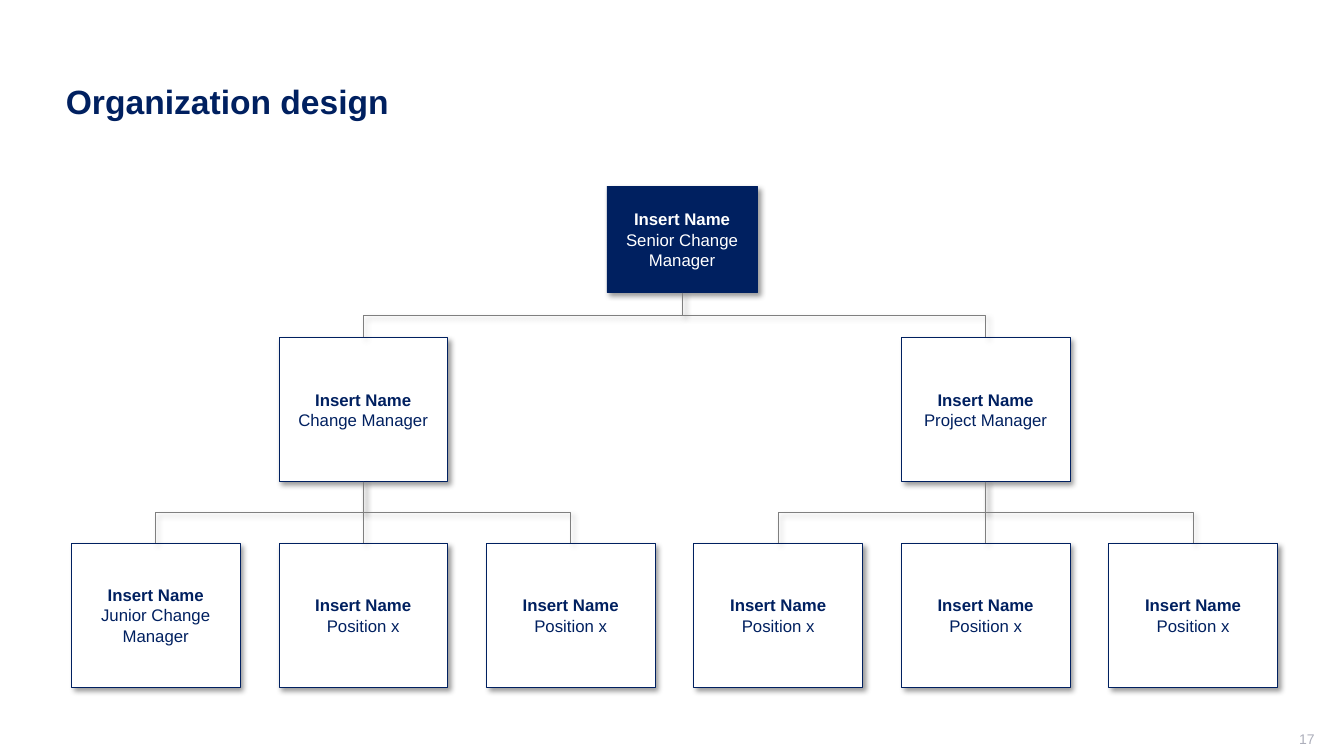
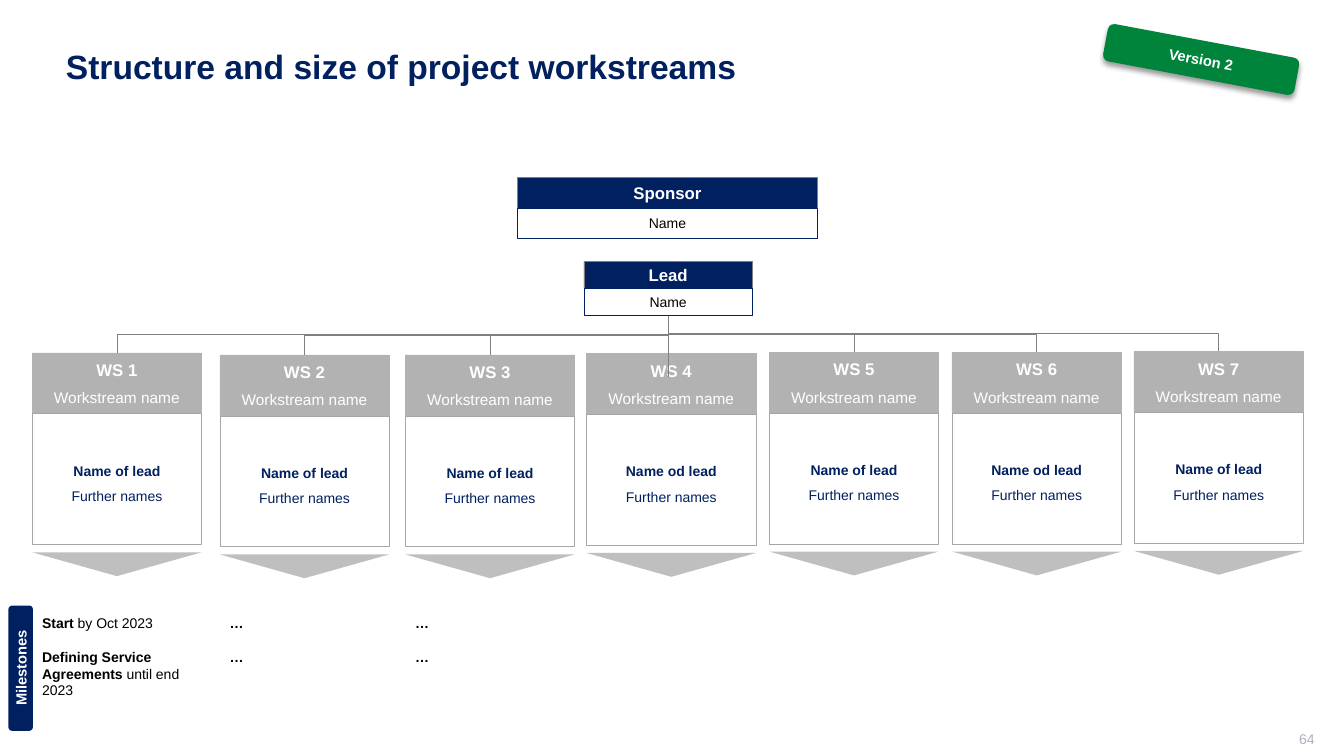
"""Build an organization chart slide and a workstream slide."""
import lxml.etree
import pptx
import pptx.dml.color
import pptx.enum.shapes
import pptx.enum.text
import pptx.oxml.ns
import pptx.util

Pt = pptx.util.Pt
qn = pptx.oxml.ns.qn
KIND = pptx.enum.shapes.MSO_SHAPE
LINK = pptx.enum.shapes.MSO_CONNECTOR
SIDE = pptx.enum.text.PP_ALIGN
MID = pptx.enum.text.MSO_ANCHOR.MIDDLE
TOP = pptx.enum.text.MSO_ANCHOR.TOP

FONT = "Arial"
COLORS = {
    "navy": "002060", "white": "FFFFFF", "black": "000000",
    "green": "00843C", "head": "B2B2B2", "edge": "A6A6A6",
    "arrow": "BFBFBF", "rim": "7F7F7F", "wire": "808080",
    "page": "ADAFBB",
}
LEAD, OTHER = "Name of lead", "Name od lead"
STREAMS = [
    (23, 252, LEAD), (157, 253.5, LEAD), (289.5, 253.5, LEAD),
    (419, 252.5, OTHER), (549.5, 251.5, LEAD), (680, 251.5, OTHER),
    (810, 251, LEAD),
]
GOALS = [
    [[("Start ", True), ("by Oct 2023", False)],
     [("Defining Service Agreements ", True), ("until end 2023", False)]],
    [[("…", True)], [("…", True)]],
    [[("…", True)], [("…", True)]],
]


def tint(name):
    """Return the named colour."""
    return pptx.dml.color.RGBColor.from_string(COLORS[name])


def shade(item, angle):
    """Give the item a soft shadow, or none if the angle is None."""
    props = item._element.spPr
    old = props.find(qn("a:effectLst"))
    if old is not None:
        props.remove(old)
    group = lxml.etree.SubElement(props, qn("a:effectLst"))
    if angle is None:
        return
    cast = lxml.etree.SubElement(
        group, qn("a:outerShdw"), blurRad=str(Pt(4)), dist=str(Pt(3)),
        dir=str(angle * 60000), algn="tl", rotWithShape="0")
    color = lxml.etree.SubElement(cast, qn("a:srgbClr"), val=COLORS["black"])
    lxml.etree.SubElement(color, qn("a:alpha"), val="40000")


def write(item, lines, color, align=SIDE.CENTER, inset=(6, 6, 6, 6),
          anchor=MID, before=0, after=0, space=None):
    """Fill the item with lines, each a size and a list of (text, bold)."""
    frame = item.text_frame
    frame.word_wrap = True
    frame.vertical_anchor = anchor
    (frame.margin_left, frame.margin_top, frame.margin_right,
     frame.margin_bottom) = map(Pt, inset)
    for count, (size, runs) in enumerate(lines):
        para = frame.add_paragraph() if count else frame.paragraphs[0]
        para.alignment = align
        para.space_before, para.space_after = Pt(before), Pt(after)
        if space:
            para.line_spacing = space
        para.font.name, para.font.size = FONT, Pt(size)
        para.font.color.rgb = tint(color)
        mixed = len({bold for _, bold in runs}) > 1
        if not mixed:
            para.font.bold = runs[0][1]
        for text, bold in runs:
            run = para.add_run()
            run.text = text
            if mixed:
                run.font.bold = bold


def shape(slide, kind, place, fill=None, line=None, width=0.25, angle=None,
          turn=0):
    """Add a preset shape."""
    item = slide.shapes.add_shape(kind, *map(Pt, place))
    item.rotation = turn
    if fill:
        item.fill.solid()
        item.fill.fore_color.rgb = tint(fill)
    else:
        item.fill.background()
    if line:
        item.line.color.rgb = tint(line)
        item.line.width = Pt(width)
    else:
        item.line.fill.background()
    item.shadow.inherit = False
    shade(item, angle)
    return item


def label(slide, place, lines, color, **style):
    """Add a text box."""
    item = slide.shapes.add_textbox(*map(Pt, place))
    write(item, lines, color, **style)


def frame(deck, title, number, anchor):
    """Add a slide with its title and page number."""
    slide = deck.slides.add_slide(deck.slide_layouts[6])
    label(slide, (40, 29, 872, 86), [(24, [(title, True)])], "navy",
          align=SIDE.LEFT, inset=(7.2, 3.6, 7.2, 3.6), anchor=anchor)
    label(slide, (723, 522, 216, 15), [(10, [(number, False)])], "page",
          align=SIDE.RIGHT, inset=(7.2, 0, 0, 3.6))
    return slide


def wire(slide, boss, kid, color, angle=None):
    """Join the bottom of one box to the top of another."""
    start, end = boss.left + boss.width // 2, kid.left + kid.width // 2
    top, low = boss.top + boss.height, kid.top
    bent = abs(end - start) > Pt(1)
    kind = LINK.ELBOW if bent else LINK.STRAIGHT
    item = slide.shapes.add_connector(kind, start, top, end, low)
    item.begin_connect(boss, 2)
    item.end_connect(kid, 0)
    if bent:
        drop, span = low - top, abs(end - start)
        item.left = (start + end - drop) // 2
        item.top = (top + low - span) // 2
        item.width, item.height = drop, span
        form = item._element.spPr.find(qn("a:xfrm"))
        for name in ("flipH", "flipV"):
            form.attrib.pop(name, None)
        form.set("rot", "16200000" if end > start else "5400000")
        if end > start:
            form.set("flipH", "1")
    paint(item, color, angle)


def paint(item, color, angle=None):
    """Style a connector."""
    item.line.color.rgb = tint(color)
    item.line.width = Pt(0.5)
    shade(item, angle)


def person(slide, place, role, fill="white", color="navy"):
    """Add a box for one position."""
    item = shape(slide, KIND.RECTANGLE, place, fill, "navy", 0.5, 45)
    write(item, [(12, [("Insert Name", True)]), (12, [(role, False)])],
          color, inset=(1.5, 1.5, 1.5, 1.5))
    return item


def card(slide, left, top, width, height, role):
    """Add a role heading over a name and return the lower box."""
    head = shape(slide, KIND.RECTANGLE, (left, top, width, height),
                 "navy", "rim")
    write(head, [(12, [(role, True)])], "white", before=3, after=3)
    base = shape(slide, KIND.RECTANGLE, (left, top + height, width, height),
                 line="navy")
    write(base, [(10, [("Name", False)])], "black", before=3, after=3)
    return base


def stream(slide, left, top, number, lead):
    """Add a workstream column and return its heading."""
    wide = 121
    head = shape(slide, KIND.RECTANGLE, (left, top, wide, 43.5),
                 "head", "head")
    write(head, [(12, [(f"WS {number}", True)]),
                 (11, [("Workstream name", False)])],
          "white", before=3, after=3)
    body = shape(slide, KIND.RECTANGLE, (left, top + 43.5, wide, 93.5),
                 line="edge")
    write(body, [(10, [(lead, True)]), (10, [("Further names", False)])],
          "navy", space=1.5)
    shape(slide, KIND.ISOSCELES_TRIANGLE, (left, top + 142.5, wide, 17),
          "arrow", turn=180)
    return head


def chart(deck):
    """Build the organization slide."""
    slide = frame(deck, "Organization design", "17", MID)
    wide, high, left, step = 120.5, 103, 51, 148.2
    chief = person(slide, (433.5, 133, 107.5, 76), "Senior Change Manager",
                   "navy", "white")
    roles = ["Junior Change Manager"] + ["Position x"] * 5
    staff = [person(slide, (left + step * col, 388, wide, high), role)
             for col, role in enumerate(roles)]
    for col, role in ((1, "Change Manager"), (4, "Project Manager")):
        boss = person(slide, (left + step * col, 241, wide, high), role)
        wire(slide, chief, boss, "rim", 45)
        for kid in staff[col - 1:col + 2]:
            wire(slide, boss, kid, "rim", 45)


def project(deck):
    """Build the workstream slide."""
    slide = frame(deck, "Structure and size of project workstreams", "64", TOP)
    card(slide, 369.5, 126.5, 214.5, 22, "Sponsor")
    boss = card(slide, 417, 186.5, 120.5, 19.5, "Lead")
    heads = [stream(slide, left, top, count, lead)
             for count, (left, top, lead) in enumerate(STREAMS, 1)]
    core = boss.left + boss.width // 2
    for count, head in enumerate(heads, 1):
        if count != 4:
            wire(slide, boss, head, "wire")
    stem = slide.shapes.add_connector(
        LINK.STRAIGHT, core, boss.top + boss.height, core, Pt(269))
    stem.begin_connect(boss, 2)
    paint(stem, "wire")
    for (left, _, _), goals in zip(STREAMS, GOALS):
        label(slide, (left, 435.5, 121, 80), [(10, runs) for runs in goals],
              "black", align=SIDE.LEFT, inset=(7.2, 3.6, 7.2, 3.6),
              anchor=TOP, after=12)
    tab = shape(slide, KIND.ROUNDED_RECTANGLE, (-30, 468.5, 89.5, 17.5),
                "navy", turn=270)
    tab.adjustments[0] = 0.15
    write(tab, [(10.5, [("Milestones", True)])], "white", inset=(0, 0, 0, 0))
    badge = shape(slide, KIND.ROUNDED_RECTANGLE, (788.5, 29, 139, 27),
                  "green", angle=90, turn=10.6)
    write(badge, [(10.5, [("Version 2", True)])], "white")


def main():
    """Save the deck."""
    deck = pptx.Presentation()
    deck.slide_width, deck.slide_height = Pt(960), Pt(540)
    chart(deck)
    project(deck)
    deck.save("out.pptx")


if __name__ == "__main__":
    main()
